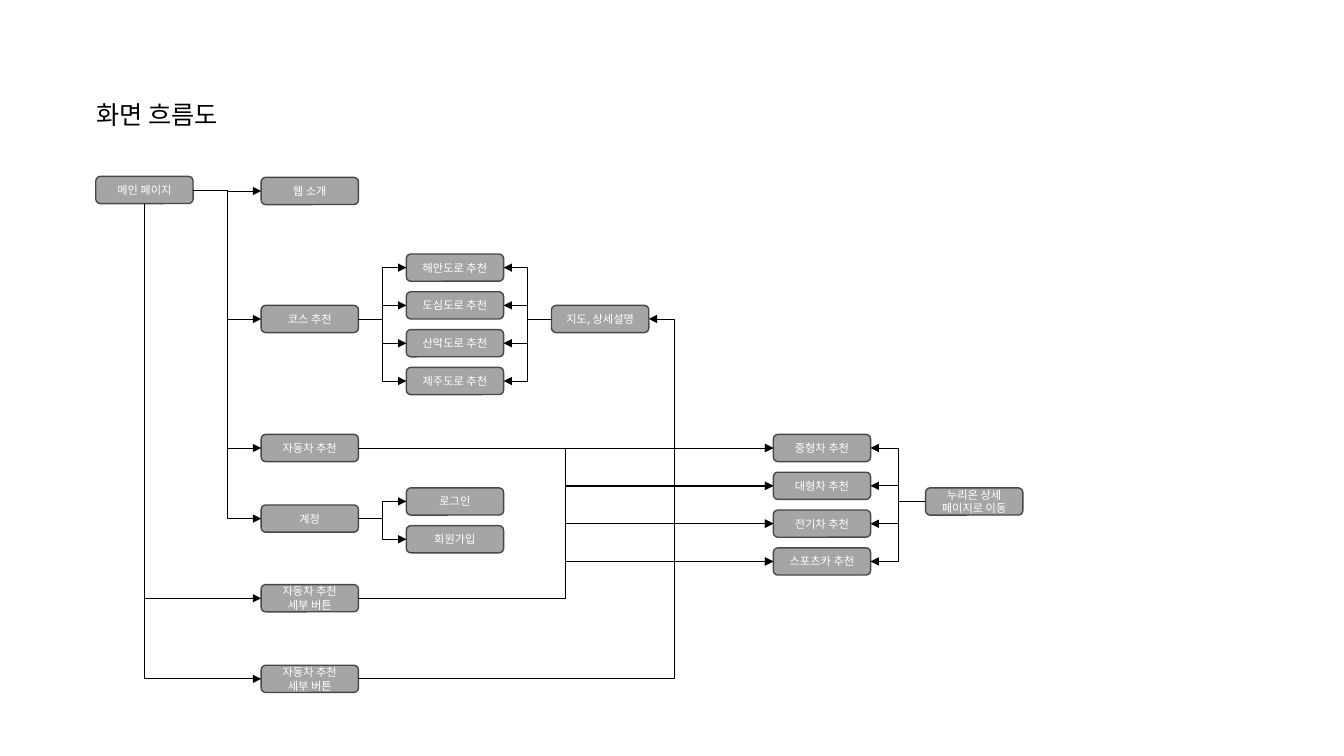
from lxml import etree
from pptx import Presentation
from pptx.dml.color import RGBColor
from pptx.enum.shapes import MSO_CONNECTOR, MSO_SHAPE
from pptx.enum.text import MSO_ANCHOR, PP_ALIGN
from pptx.oxml.ns import qn
from pptx.util import Inches, Pt

ELBOW = MSO_CONNECTOR.ELBOW
ROUNDED = MSO_SHAPE.ROUNDED_RECTANGLE
MIDDLE = MSO_ANCHOR.MIDDLE
CENTER = PP_ALIGN.CENTER

FONT = "Noto Sans CJK KR"
BLACK, WHITE, GRAY, DARK_GRAY = "000000", "FFFFFF", "A5A5A5", "484848"

# Flowchart grid in inches: column lefts, node size and row pitch
COLUMNS = [0.95, 2.59, 4.03, 5.47, 7.67, 9.18]
NODE_W, NODE_H = 0.965, 0.27
PITCH = 0.375

# Connection sites of a rounded rectangle
LEFT, BOTTOM, RIGHT = 1, 2, 3


def color(hex_string):
    return RGBColor.from_string(hex_string)


def write_text(shape, text, size=8, fill=WHITE):
    """Write one centred paragraph per line of text."""
    frame = shape.text_frame
    frame.word_wrap = True
    frame.vertical_anchor = MIDDLE
    for index, line in enumerate(text.split("\n")):
        paragraph = frame.add_paragraph() if index else frame.paragraphs[0]
        paragraph.alignment = CENTER
        run = paragraph.add_run()
        run.text = line
        run.font.size = Pt(size)
        run.font.name = FONT
        run.font.color.rgb = color(fill)
        east_asian = etree.SubElement(run.font._element, qn("a:ea"))
        east_asian.set("typeface", FONT)


def add_title(slide, text):
    title = slide.shapes.add_textbox(
        Inches(0.79), Inches(0.72), Inches(1.54), Inches(0.84))
    write_text(title, text, size=18, fill=BLACK)


def add_node(slide, column, top, text):
    node = slide.shapes.add_shape(
        ROUNDED, Inches(COLUMNS[column]), Inches(top),
        Inches(NODE_W), Inches(NODE_H))
    node.shadow.inherit = False
    node.fill.solid()
    node.fill.fore_color.rgb = color(GRAY)
    node.line.color.rgb = color(DARK_GRAY)
    node.line.width = Pt(1)
    write_text(node, text)
    return node


def add_stack(slide, column, top, labels):
    return [add_node(slide, column, top + PITCH * row, label)
            for row, label in enumerate(labels)]


def link(slide, source, source_site, target, target_site, bend=0.5):
    """Join two nodes with an elbow arrow that turns at the given share."""
    arrow = slide.shapes.add_connector(ELBOW, 0, 0, 0, 0)
    arrow.begin_connect(source, source_site)
    arrow.end_connect(target, target_site)
    arrow.line.color.rgb = color(BLACK)
    arrow.line.width = Pt(0.5)
    properties = arrow._element.spPr
    line = properties.find(qn("a:ln"))
    etree.SubElement(line, qn("a:tailEnd"), type="triangle")
    etree.SubElement(properties, qn("a:effectLst"))
    guides = properties.find(qn("a:prstGeom")).find(qn("a:avLst"))
    etree.SubElement(guides, qn("a:gd"), name="adj1",
                     fmla=f"val {round(bend * 100000)}")
    return arrow


def fan_out(slide, source, targets, source_site=RIGHT, target_site=LEFT):
    for target in targets:
        link(slide, source, source_site, target, target_site)


def drop(slide, source, target):
    """Go straight down from the source, then right into the target."""
    arrow = link(slide, source, BOTTOM, target, LEFT)
    across, down = arrow.width, arrow.height
    shift = (across - down) // 2
    arrow.left, arrow.top = arrow.left + shift, arrow.top - shift
    arrow.width, arrow.height = down, across
    properties = arrow._element.spPr
    frame = properties.find(qn("a:xfrm"))
    frame.set("rot", "16200000")
    frame.set("flipH", "1")
    geometry = properties.find(qn("a:prstGeom"))
    geometry.set("prst", "bentConnector2")
    guides = geometry.find(qn("a:avLst"))
    guides.remove(guides[0])


def main():
    prs = Presentation()
    prs.slide_width, prs.slide_height = Inches(13.33), Inches(7.5)
    slide = prs.slides.add_slide(prs.slide_layouts[6])
    add_title(slide, "화면 흐름도")

    # Main page and its menu
    main_page = add_node(slide, 0, 1.75, "메인 페이지")
    intro = add_node(slide, 1, 1.76, "웹 소개")
    course = add_node(slide, 1, 3.03, "코스 추천")
    car = add_node(slide, 1, 4.31, "자동차 추천")
    account = add_node(slide, 1, 5.01, "계정")
    car_button = add_node(slide, 1, 5.8, "자동차 추천\n세부 버튼")
    map_button = add_node(slide, 1, 6.6, "자동차 추천\n세부 버튼")

    # Pages behind each menu entry
    roads = add_stack(slide, 2, 2.52, [
        "해안도로 추천", "도심도로 추천", "산악도로 추천", "제주도로 추천"])
    sign_in = add_stack(slide, 2, 4.84, ["로그인", "회원가입"])
    cars = add_stack(slide, 4, 4.31, [
        "중형차 추천", "대형차 추천", "전기차 추천", "스포츠카 추천"])
    map_detail = add_node(slide, 3, 3.03, "지도, 상세설명")
    portal = add_node(slide, 5, 4.84, "누리온 상세\n페이지로 이동")

    # Flow
    fan_out(slide, main_page, [intro, course, car, account])
    fan_out(slide, course, roads)
    fan_out(slide, map_detail, roads, LEFT, RIGHT)
    fan_out(slide, account, sign_in)
    fan_out(slide, car, cars)
    fan_out(slide, car_button, cars)
    fan_out(slide, portal, cars, LEFT, RIGHT)
    drop(slide, main_page, car_button)
    drop(slide, main_page, map_button)
    link(slide, map_button, RIGHT, map_detail, RIGHT, bend=1.087)

    prs.save("out.pptx")


if __name__ == "__main__":
    main()
